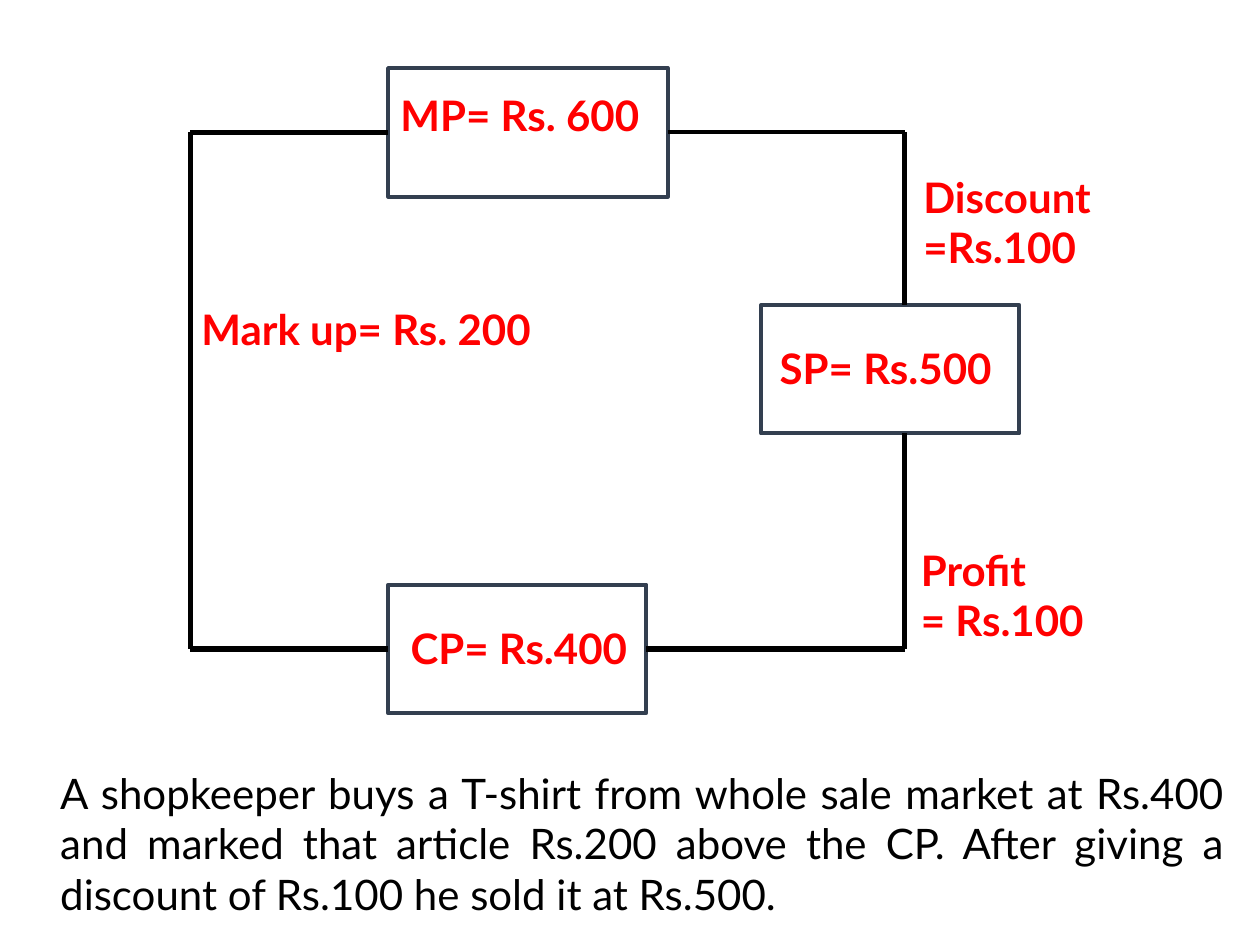
from lxml.etree import SubElement
from pptx import Presentation
from pptx.dml.color import RGBColor
from pptx.enum.shapes import MSO_CONNECTOR, MSO_SHAPE
from pptx.enum.text import MSO_AUTO_SIZE, PP_ALIGN
from pptx.oxml.ns import qn
from pptx.util import Inches, Pt

BLACK = RGBColor(0x00, 0x00, 0x00)
WHITE = RGBColor(0xFF, 0xFF, 0xFF)
RED = RGBColor(0xFF, 0x00, 0x00)
SLATE = RGBColor(0x33, 0x3F, 0x50)

FONT = "Lato"
TOP, BOTTOM = 1.05, 5.15
LEFT, RIGHT = 1.51, 7.18
BOX_HIGH = 1.02

STORY = (
    "A shopkeeper buys a T-shirt from whole sale market at Rs.400 "
    "and marked that article Rs.200 above the CP. After giving a "
    "discount of Rs.100 he sold it at Rs.500."
)


def add_box(slide, left, top, width):
    box = slide.shapes.add_shape(
        MSO_SHAPE.RECTANGLE,
        Inches(left), Inches(top), Inches(width), Inches(BOX_HIGH),
    )
    box.shadow.inherit = False
    box.fill.solid()
    box.fill.fore_color.rgb = WHITE
    box.line.color.rgb = SLATE
    box.line.width = Pt(2.25)
    return box


def add_text(slide, lines, left, top, width, height,
             color=RED, bold=True, align=PP_ALIGN.LEFT):
    shape = slide.shapes.add_textbox(
        Inches(left), Inches(top), Inches(width), Inches(height)
    )
    frame = shape.text_frame
    frame.word_wrap = True
    frame.auto_size = MSO_AUTO_SIZE.SHAPE_TO_FIT_TEXT
    for i, line in enumerate(lines):
        para = frame.add_paragraph() if i else frame.paragraphs[0]
        para.alignment = align
        run = para.add_run()
        run.text = line
        run.font.name = FONT
        run.font.size = Pt(24)
        run.font.bold = bold
        run.font.color.rgb = color


def add_line(slide, start, end, width=3, box=None, side=None):
    """Draw a line, its start joined to a side of box when one is given."""
    line = slide.shapes.add_connector(
        MSO_CONNECTOR.STRAIGHT, *[Inches(v) for v in (*start, *end)]
    )
    if box is not None:
        line.begin_connect(box, side)
    line.line.color.rgb = BLACK
    line.line.width = Pt(width)
    SubElement(line._element.spPr, qn("a:effectLst"))


def add_loop(slide, mark, sell, cost):
    """Join the three price boxes in a ring."""
    add_line(slide, (3.08, BOTTOM), (LEFT, BOTTOM), box=cost, side=1)
    add_line(slide, (LEFT, BOTTOM), (LEFT, TOP))
    add_line(slide, (3.08, TOP), (LEFT, TOP), box=mark, side=1)
    add_line(slide, (5.3, TOP), (RIGHT, TOP), 2.25, mark, 3)
    add_line(slide, (RIGHT, TOP), (RIGHT, sell.top.inches))
    add_line(slide, (RIGHT, sell.top.inches + BOX_HIGH), (RIGHT, BOTTOM))
    add_line(slide, (5.13, BOTTOM), (RIGHT, BOTTOM), box=cost, side=3)


def main():
    deck = Presentation()
    deck.slide_width = Inches(10)
    deck.slide_height = Inches(7.5)
    slide = deck.slides.add_slide(deck.slide_layouts[6])

    sell = add_box(slide, 6.04, 2.42, 2.05)
    cost = add_box(slide, 3.08, BOTTOM - BOX_HIGH / 2, 2.05)
    mark = add_box(slide, 3.08, TOP - BOX_HIGH / 2, 2.22)
    add_loop(slide, mark, sell, cost)

    labels = [
        (["MP= Rs. 600"], 3.08, 0.66, 2.22, 0.5),
        (["CP= Rs.400"], 3.16, 4.89, 1.98, 0.5),
        (["SP= Rs.500"], 6.09, 2.67, 1.94, 0.5),
        (["Mark up= Rs. 200"], 1.5, 2.36, 3.05, 0.5),
        (["Discount =Rs.100"], 7.23, 1.31, 2.58, 0.91),
        (["Profit", "= Rs.100"], 7.21, 4.27, 2.22, 0.91),
    ]
    for label in labels:
        add_text(slide, *label)
    add_text(slide, [STORY], 0.38, 6.04, 9.43, 1.31,
             BLACK, False, PP_ALIGN.JUSTIFY)

    deck.save("out.pptx")


if __name__ == "__main__":
    main()
